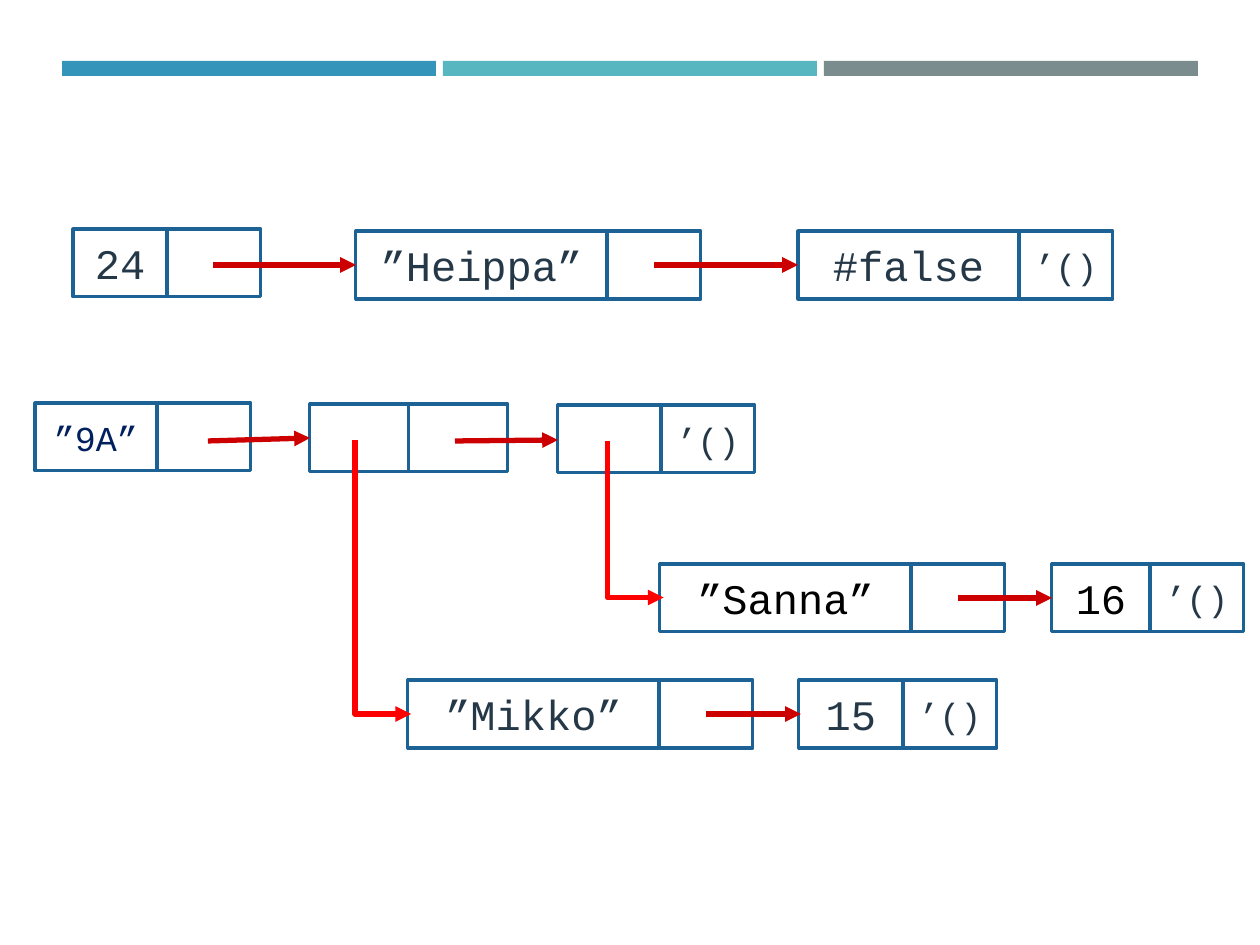
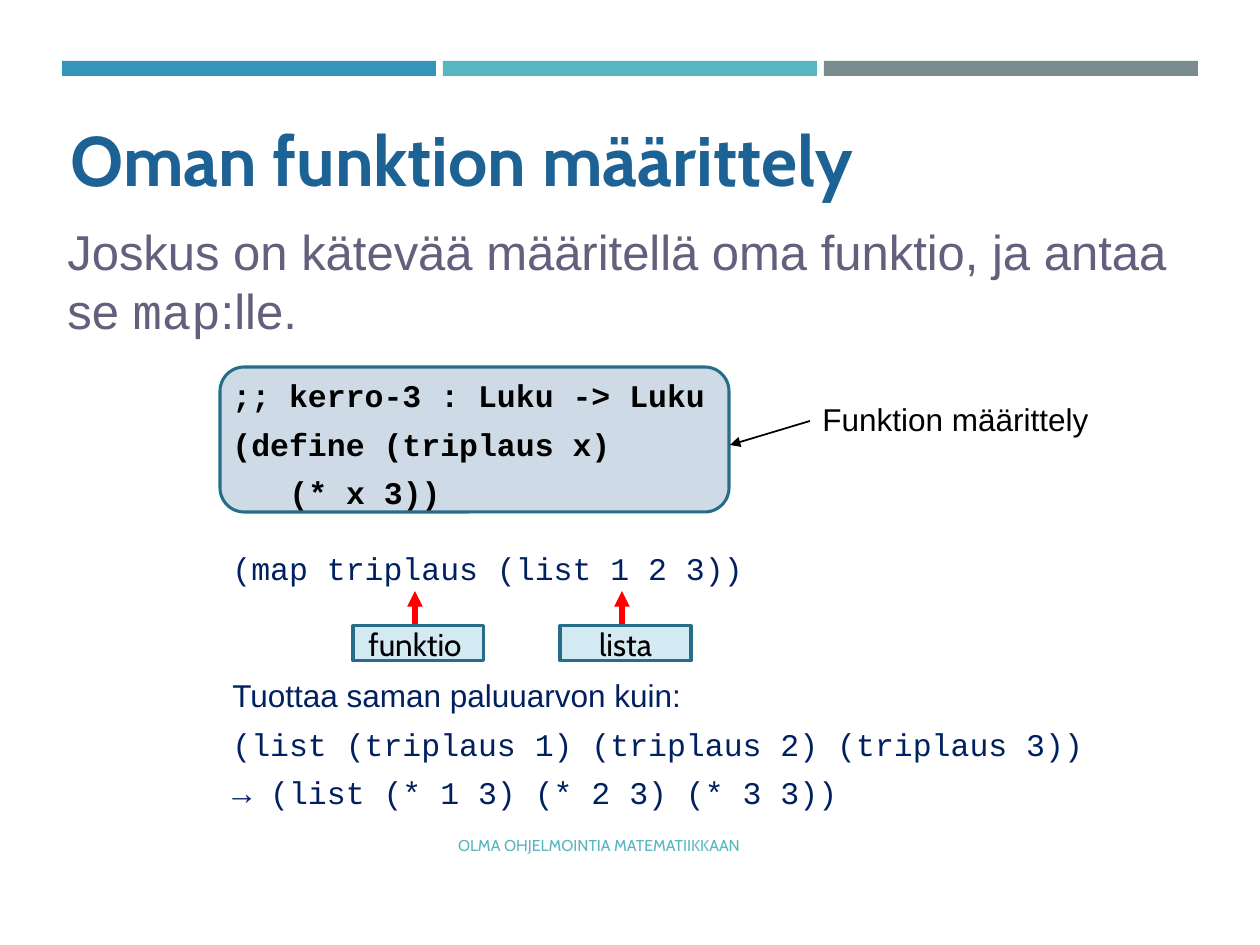
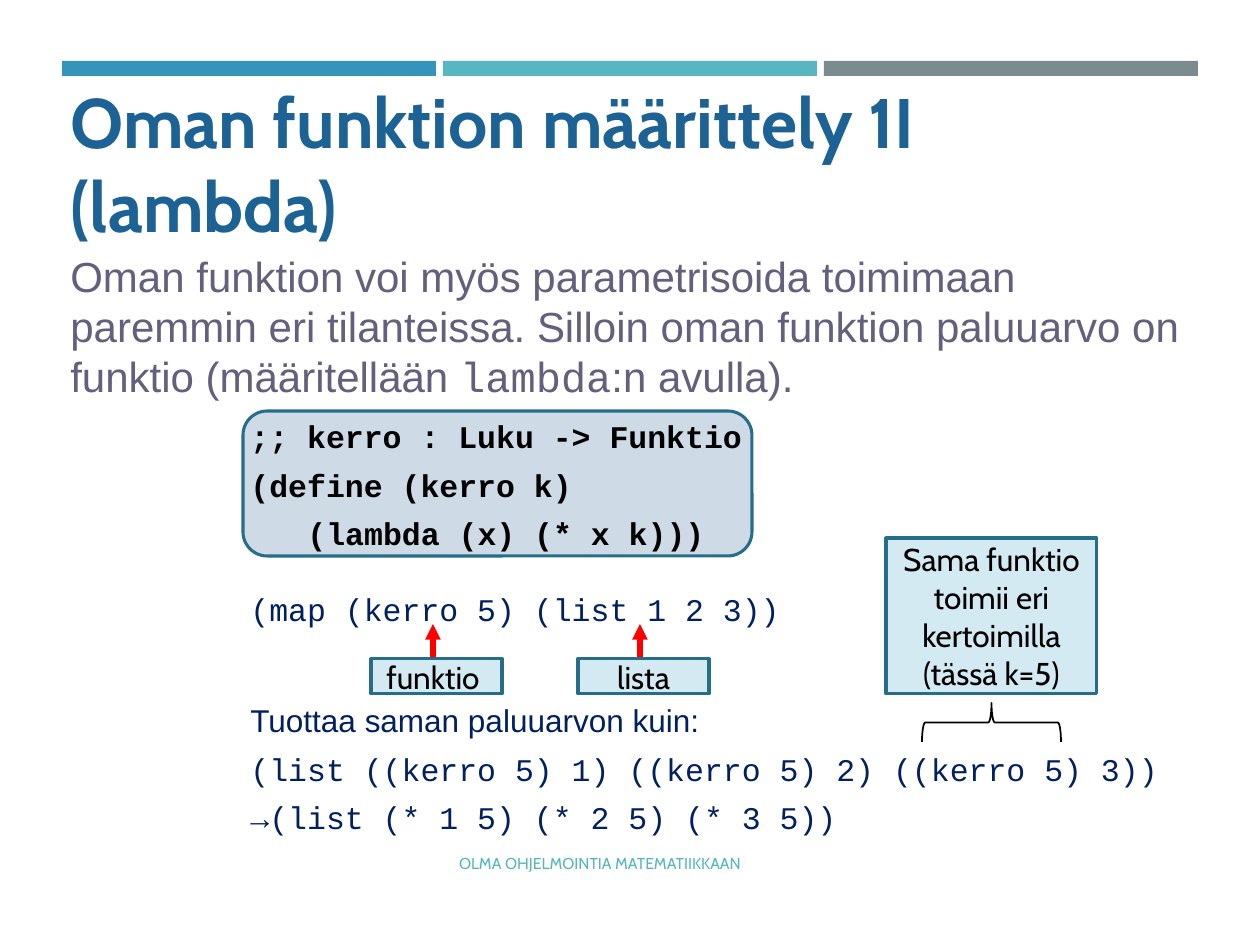
from dataclasses import dataclass

from lxml import etree
from pptx import Presentation
from pptx import util as u
from pptx.dml import color as rgb
from pptx.enum import shapes, text
from pptx.oxml import ns

SCALE = 914400 // 126


@dataclass(frozen=True)
class Theme:
    """Colours, fonts and type sizes of the presentation."""
    bars: tuple = ("3494BA", "58B6C0", "7A8C8E")
    white: str = "FFFFFF"
    black: str = "000000"
    navy: str = "002060"
    slate: str = "253848"
    blue: str = "1D6294"
    body: str = "635F7C"
    footer: str = "58B6C0"
    code_fill: str = "CEDBE6"
    label_fill: str = "D4EAF3"
    label_line: str = "266D8A"
    link: str = "CC0000"
    pointer: str = "FF0000"
    sans: str = "Arial"
    heading: str = "Cabin"
    mono: str = "Courier New"
    title_size: int = 40
    intro_size: int = 28
    long_intro_size: int = 24
    cell_size: int = 24
    tail_size: int = 20
    text_size: int = 18
    footer_size: int = 9
    outline: float = 1.75
    arrow: int = 3


THEME = Theme()
CELL_HEIGHT = 68
TAIL_WIDTH = 94
CODE_INDENT = 57
EMPTY_LIST = "’()"


def px(*values):
    """Turn whole pixels into EMU lengths."""
    return [u.Emu(value * SCALE) for value in values]


def style_runs(paragraph, font, size, color, bold=False):
    """Format every run of a paragraph."""
    for run in paragraph.runs:
        run.font.name = font
        run.font.size = u.Pt(size)
        run.font.bold = bold
        run.font.color.rgb = rgb.RGBColor.from_string(color)


def add_box(slide, box, fill, line=None, kind=shapes.MSO_SHAPE.RECTANGLE):
    """Add a flat preset shape."""
    shape = slide.shapes.add_shape(kind, *px(*box))
    shape.shadow.inherit = False
    shape.fill.solid()
    shape.fill.fore_color.rgb = rgb.RGBColor.from_string(fill)
    if line:
        shape.line.color.rgb = rgb.RGBColor.from_string(line)
        shape.line.width = u.Pt(THEME.outline)
    else:
        shape.line.fill.background()
    return shape


def add_label(slide, box, words, font, size, color, fill, line):
    """Add an outlined box with centred words."""
    shape = add_box(slide, box, fill, line)
    if words:
        frame = shape.text_frame
        frame.text = words
        frame.word_wrap = True
        frame.vertical_anchor = text.MSO_ANCHOR.MIDDLE
        frame.paragraphs[0].alignment = text.PP_ALIGN.CENTER
        style_runs(frame.paragraphs[0], font, size, color)


def add_note(slide, box, words):
    """Add a light blue note box."""
    add_label(slide, box, words, THEME.heading, THEME.text_size, THEME.black,
              THEME.label_fill, THEME.label_line)


def add_text(slide, box, wrap=True):
    """Add a text box and return its frame."""
    frame = slide.shapes.add_textbox(*px(*box)).text_frame
    frame.word_wrap = wrap
    return frame


def finish_arrow(connector, color, width):
    """Colour a connector, flatten it and give it a head."""
    connector.line.color.rgb = rgb.RGBColor.from_string(color)
    connector.line.width = u.Pt(width)
    properties = connector.element.spPr
    etree.SubElement(properties.find(ns.qn("a:ln")), ns.qn("a:tailEnd"), type="triangle")
    etree.SubElement(properties, ns.qn("a:effectLst"))


def add_arrow(slide, points, color, width=THEME.arrow):
    """Add a straight arrow."""
    connector = slide.shapes.add_connector(shapes.MSO_CONNECTOR.STRAIGHT, *px(*points))
    finish_arrow(connector, color, width)


def add_bent_arrow(slide, points, color):
    """Add an arrow that goes down and then right."""
    start_x, start_y, end_x, end_y = points
    across, down = end_x - start_x, end_y - start_y
    left = (start_x + end_x - down) // 2
    top = (start_y + end_y - across) // 2
    connector = slide.shapes.add_connector(
        shapes.MSO_CONNECTOR.ELBOW, *px(left, top, left + down, top + across))
    properties = connector.element.spPr
    properties.find(ns.qn("a:xfrm")).set("rot", "16200000")
    properties.find(ns.qn("a:xfrm")).set("flipH", "1")
    properties.find(ns.qn("a:prstGeom")).set("prst", "bentConnector2")
    finish_arrow(connector, color, THEME.arrow)


def add_pair(slide, left, top, width, words="", tail="", color=THEME.slate,
             size=THEME.cell_size, tail_width=TAIL_WIDTH):
    """Add a list node: a value cell and a tail cell."""
    cells = ((left, width, words, size, color),
             (left + width, tail_width, tail, THEME.tail_size, THEME.slate))
    for cell_left, cell_width, value, value_size, value_color in cells:
        add_label(slide, (cell_left, top, cell_width, CELL_HEIGHT), value, THEME.mono,
                  value_size, value_color, THEME.white, THEME.blue)


def add_master_bars(presentation, slide):
    """Put the three top bars on the slide master."""
    tree = presentation.slide_master.shapes.element
    for index, color in enumerate(THEME.bars):
        bar = add_box(slide, (62 + 381 * index, 61, 374, 15), color)
        tree.append(bar.element)


def add_title(slide, top, words):
    """Place and format the title."""
    title = slide.shapes.title
    title.left, title.top, title.width, title.height = px(58, top, 1135, 83)
    frame = title.text_frame
    frame.text = words
    frame.word_wrap = True
    frame.auto_size = text.MSO_AUTO_SIZE.NONE
    frame.vertical_anchor = text.MSO_ANCHOR.MIDDLE
    for paragraph in frame.paragraphs:
        paragraph.alignment = text.PP_ALIGN.LEFT
        style_runs(paragraph, THEME.heading, THEME.title_size, THEME.blue, True)


def add_intro(slide, box, parts, size):
    """Add the introduction, with its middle part in the code font."""
    paragraph = add_text(slide, box).paragraphs[0]
    for part in parts:
        paragraph.add_run().text = part
    style_runs(paragraph, THEME.sans, size, THEME.body)
    paragraph.runs[1].font.name = THEME.mono


def add_footer(slide, left, top):
    """Add the footer line."""
    frame = add_text(slide, (left, top, 672, 50))
    frame.text = "OLMA OHJELMOINTIA MATEMATIIKKAAN"
    frame.vertical_anchor = text.MSO_ANCHOR.MIDDLE
    frame.paragraphs[0].alignment = text.PP_ALIGN.RIGHT
    style_runs(frame.paragraphs[0], THEME.heading, THEME.footer_size, THEME.footer)


def add_code(slide, box, definition, call, results, result_gap):
    """Add a definition, a call of it and the equal expressions."""
    frame = add_text(slide, box)
    frame.text = "\n".join([*definition, call, "Tuottaa saman paluuarvon kuin:", *results])
    call_index = len(definition)
    result_index = call_index + 1
    gaps = {call_index: 22, result_index: result_gap}
    for index, paragraph in enumerate(frame.paragraphs):
        defining = index < call_index
        paragraph.space_before = u.Pt(gaps.get(index, 6))
        style_runs(paragraph, THEME.sans if index == result_index else THEME.mono,
                   THEME.text_size, THEME.black if defining else THEME.navy, defining)
    function_body = frame.paragraphs[call_index - 1]
    properties = function_body._p.get_or_add_pPr()
    properties.set("marL", str(CODE_INDENT * SCALE))
    properties.set("indent", "0")


def add_argument_labels(slide, left, top):
    """Add the two labels that point up at the arguments."""
    for index, words in enumerate(("funktio ", "lista")):
        label_left = left + 207 * index
        center = label_left + 62
        add_arrow(slide, (center, top, center, top - 35), THEME.pointer)
        add_note(slide, (label_left, top, 131, 35), words)


def add_code_panel(slide, left, top):
    """Add the rounded panel behind a definition."""
    add_box(slide, (left, top, 509, 145), THEME.code_fill, THEME.label_line,
            shapes.MSO_SHAPE.ROUNDED_RECTANGLE)


def build_lists(slide):
    """Draw a flat list and a nested list as linked nodes."""
    add_pair(slide, 73, 229, 94, "24")
    add_pair(slide, 356, 231, 251, "”Heippa”")
    add_pair(slide, 798, 231, 221, "#false", EMPTY_LIST)
    add_pair(slide, 35, 403, 122, "”9A”", color=THEME.navy, size=THEME.tail_size)
    add_pair(slide, 310, 404, 99, tail_width=99)
    add_pair(slide, 558, 405, 103, tail=EMPTY_LIST)
    add_pair(slide, 660, 564, 251, "”Sanna”", color=THEME.black)
    add_pair(slide, 1052, 564, 98, "16", EMPTY_LIST, THEME.black)
    add_pair(slide, 408, 680, 251, "”Mikko”")
    add_pair(slide, 799, 680, 104, "15", EMPTY_LIST)
    for points in ((213, 265, 356, 265), (654, 265, 798, 265), (208, 441, 310, 438),
                   (455, 441, 558, 440), (958, 598, 1052, 598), (706, 714, 801, 714)):
        add_arrow(slide, points, THEME.link)
    for points in ((355, 440, 411, 714), (608, 441, 664, 598)):
        add_bent_arrow(slide, points, THEME.pointer)


def build_function(slide):
    """Show how a function of one's own is defined and mapped."""
    add_code_panel(slide, 220, 367)
    add_intro(slide, (55, 215, 1134, 131),
              ("Joskus on kätevää määritellä oma funktio, ja antaa se ", "map", ":lle."),
              THEME.intro_size)
    add_title(slide, 117, "Oman funktion määrittely")
    add_footer(slide, 80, 820)
    add_code(slide, (220, 370, 885, 450),
             (";; kerro-3 : Luku -> Luku", "(define (triplaus x)", "(* x 3))"),
             "(map triplaus (list 1 2 3))",
             ("(list (triplaus 1) (triplaus 2) (triplaus 3))",
              "→ (list (* 1 3) (* 2 3) (* 3 3))"), 51)
    add_argument_labels(slide, 353, 626)
    frame = add_text(slide, (810, 394, 294, 50), wrap=False)
    frame.text = "Funktion määrittely"
    style_runs(frame.paragraphs[0], THEME.sans, THEME.text_size, THEME.black)
    add_arrow(slide, (810, 421, 730, 445), THEME.black, 1)


def build_lambda(slide):
    """Show a function that returns a function."""
    add_code_panel(slide, 243, 411)
    add_intro(slide, (58, 244, 1134, 165),
              ("Oman funktion voi myös parametrisoida toimimaan paremmin eri tilanteissa. "
               "Silloin oman funktion paluuarvo on funktio (määritellään ",
               "lambda", ":n avulla)."), THEME.long_intro_size)
    add_title(slide, 121, "Oman funktion määrittely 1I\n(lambda)")
    add_footer(slide, 81, 838)
    add_code(slide, (238, 411, 954, 435),
             (";; kerro : Luku -> Funktio", "(define (kerro k)", "(lambda (x) (* x k)))"),
             "(map (kerro 5) (list 1 2 3))",
             ("(list ((kerro 5) 1) ((kerro 5) 2) ((kerro 5) 3))",
              "→(list (* 1 5) (* 2 5) (* 3 5))"), 42)
    add_note(slide, (886, 538, 211, 156),
             "Sama funktio toimii eri kertoimilla (tässä k=5)")
    brace = add_box(slide, (972, 653, 39, 139), THEME.white, THEME.black,
                    shapes.MSO_SHAPE.LEFT_BRACE)
    brace.fill.background()
    brace.line.width = u.Pt(1)
    brace.rotation = 90
    add_argument_labels(slide, 371, 659)


def main():
    """Build and save the presentation."""
    presentation = Presentation()
    presentation.slide_width, presentation.slide_height = px(1260, 945)
    title_only, blank = presentation.slide_layouts[5], presentation.slide_layouts[6]
    lists = presentation.slides.add_slide(blank)
    add_master_bars(presentation, lists)
    build_lists(lists)
    build_function(presentation.slides.add_slide(title_only))
    build_lambda(presentation.slides.add_slide(title_only))
    presentation.save("out.pptx")


main()
